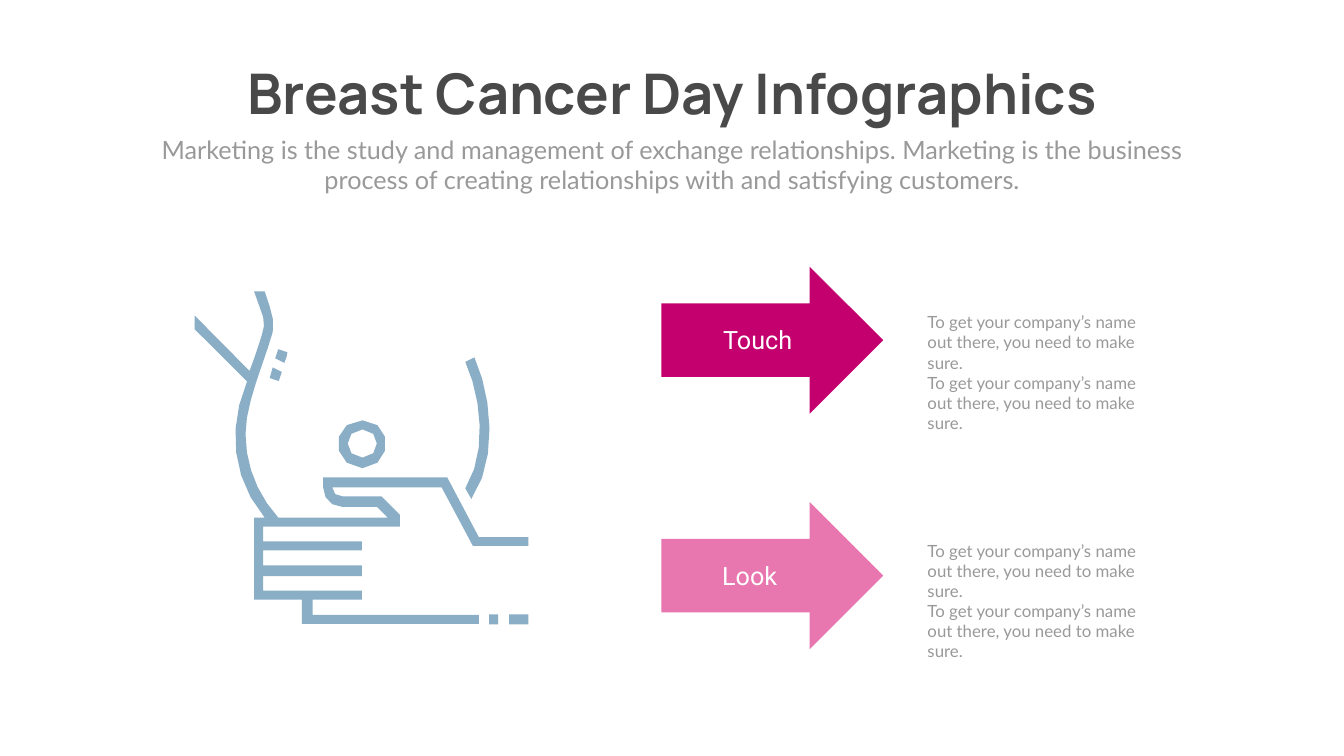
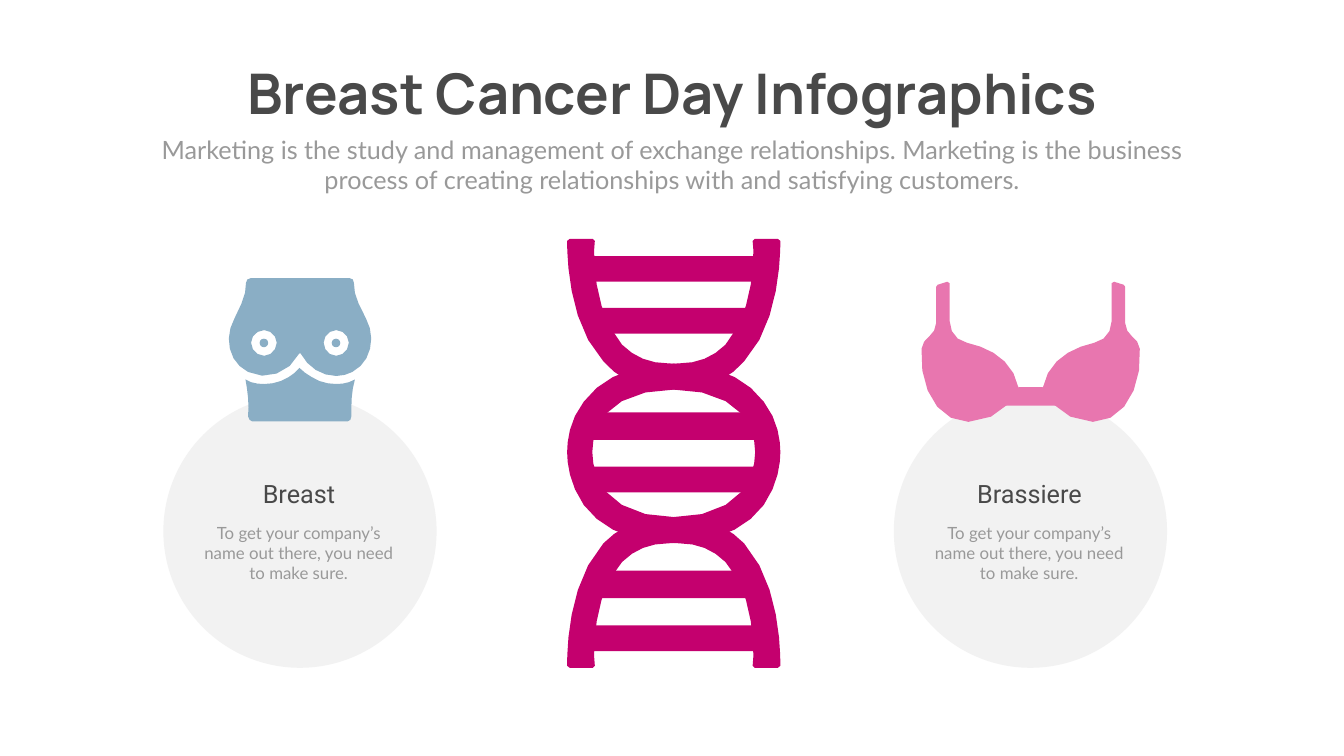
from dataclasses import dataclass
from math import ceil, dist, sqrt

from pptx import Presentation
from pptx.dml.color import RGBColor as RGB
from pptx.enum.shapes import MSO_SHAPE as Form
from pptx.enum.text import MSO_AUTO_SIZE as Fit, PP_ALIGN as Align
from pptx.util import Pt

PX = 9144  # EMU in one px: 100 px to the inch


@dataclass(frozen=True)
class Theme:
    ink: str = "494949"
    gray: str = "999999"
    pale: str = "F2F2F2"
    white: str = "FFFFFF"
    rose: str = "C4006E"
    pink: str = "E876AF"
    blue: str = "8AAEC5"
    title: tuple = ("Manrope", 80)
    lead: tuple = ("Lato", 36)
    label: tuple = ("Roboto", 36)
    note: tuple = ("Lato", 24)


T = Theme()
TITLE = "Breast Cancer Day Infographics"
LEAD = ("Marketing is the study and management of exchange relationships. "
        "Marketing is the business process of creating relationships with "
        "and satisfying customers.")
NOTE = "To get your company’s name out there, you need to make sure."


# Outlines: M starts a loop, L adds lines, C adds cubic curves
def curve(a, b, c, d):
    """Split a curve into straight pieces, more of them when it is long."""
    steps = max(1, ceil(sqrt(dist(a, b) + dist(b, c) + dist(c, d)) / 3))
    for i in range(1, steps + 1):
        t = i / steps
        u = 1 - t
        yield tuple(u**3 * p + 3 * u * u * t * q + 3 * u * t * t * r + t**3 * s
                    for p, q, r, s in zip(a, b, c, d))


def trace(text):
    loops, mode, wait = [], "M", []
    words = iter(text.split())
    for word in words:
        if word in "MLC":
            mode = word
            continue
        spot = (int(word), int(next(words)))
        if mode == "M":
            loops.append([spot])
        elif mode == "L":
            loops[-1].append(spot)
        else:
            wait.append(spot)
            if len(wait) == 3:
                loops[-1].extend(curve(loops[-1][-1], *wait))
                wait = []
    return loops


def flip(loops, span):
    """Mirror loops left to right; span is the sum of the two edges."""
    return [[(span - x, y) for x, y in loop] for loop in loops]


class Deck:
    def __init__(self, theme, wide, high):
        self.theme = theme
        self.show = Presentation()
        self.show.slide_width, self.show.slide_height = wide * PX, high * PX
        self.shapes = None

    def page(self):
        """Add a slide with the shared heading."""
        slide = self.show.slides.add_slide(self.show.slide_layouts[6])
        slide.background.fill.solid()
        slide.background.fill.fore_color.rgb = RGB.from_string(self.theme.white)
        self.shapes = slide.shapes
        head = slide.shapes.add_group_shape().shapes
        self.text((406, 112, 1855, 145), [TITLE], self.theme.title, self.theme.ink,
                  bold=True, wrap=False, into=head)
        self.text((292, 261, 2082, 131), [LEAD], self.theme.lead, self.theme.gray,
                  into=head)

    def text(self, box, lines, style, color, align=Align.CENTER, bold=False,
             wrap=True, into=None):
        frame = (into or self.shapes).add_textbox(*(n * PX for n in box)).text_frame
        frame.word_wrap = wrap
        frame.auto_size = Fit.SHAPE_TO_FIT_TEXT
        frame.text = "\n".join(lines)
        for para in frame.paragraphs:
            para.alignment = align
            para.font.name, para.font.size = style[0], Pt(style[1])
            para.font.bold = bold
            para.font.color.rgb = RGB.from_string(color)

    def paint(self, shape, fill):
        shape.shadow.inherit = False
        shape.fill.solid()
        shape.fill.fore_color.rgb = RGB.from_string(fill)
        shape.line.fill.background()

    def shape(self, form, box, fill, into=None):
        item = (into or self.shapes).add_shape(form, *(n * PX for n in box))
        self.paint(item, fill)

    def icon(self, fill, *parts, bars=(), dots=()):
        """Group of outlines, with plain bars and dots."""
        group = self.shapes.add_group_shape().shapes
        for box in bars:
            self.shape(Form.RECTANGLE, box, fill, group)
        for loops in parts:
            pen = None
            for loop in loops:
                first, *rest = [(x * PX, y * PX) for x, y in loop]
                if pen:
                    pen.move_to(*first)
                else:
                    pen = group.build_freeform(*first)
                pen.add_line_segments(rest, close=True)
            self.paint(pen.convert_to_shape(), fill)
        for box in dots:
            self.shape(Form.OVAL, box, fill, group)


# Hand check icon
MARKS = [trace("M 535 750 L 541 729 559 738 553 756"),
         trace("M 564 720 L 546 711 C 549 705 549 699 552 693 "
               "L 570 699 C 570 705 568 711 564 720")]
SIDE = trace("M 935 990 C 988 913 976 786 941 709 L 923 718 "
             "C 955 789 967 898 923 969")
RING = trace("M 719 929 C 781 926 781 834 719 834 654 834 654 926 719 929 "
             "M 719 852 C 757 852 757 908 719 908 680 908 680 852 719 852")
HAND = trace("""
    M 950 1066 L 887 947 641 947 641 967 C 641 988 656 1006 680 1006
    L 748 1006 769 1027 552 1027 C 511 982 487 923 487 861
    487 810 513 745 531 691 552 641 540 626 525 578
    L 504 578 522 629 C 528 647 519 664 513 685 507 703 502 718 495 736
    L 386 626 386 653 490 757 C 451 849 460 950 525 1027
    L 504 1027 504 1190 599 1190 599 1238 950 1238 950 1220 620 1220 620 1190
    718 1190 718 1172 522 1172 522 1143 718 1143 718 1122 522 1122
    522 1092 718 1092 718 1074 522 1074 522 1045 793 1045 793 1021
    757 985 680 985 C 668 985 659 979 659 967
    L 876 967 938 1083 1048 1083 1048 1066""")
DASHES = [(1010, 1219, 38, 20), (970, 1219, 18, 20)]

# DNA icon: rungs are centred, one strand mirrors the other
STRAND = trace("""
    M 1515 797 C 1477 746 1414 721 1326 721 1289 721 1259 709 1234 684
    1176 620 1176 499 1180 478 L 1176 474 1130 474 1125 478
    C 1125 499 1125 641 1197 717
    1230 755 1272 772 1326 772 1481 772 1498 859 1498 897
    1498 935 1481 1027 1326 1027 1272 1027 1230 1044 1197 1078
    1125 1157 1125 1296 1125 1321 L 1130 1325 1176 1325 1180 1321
    C 1176 1300 1176 1174 1234 1115 1259 1090 1289 1078 1326 1078
    1414 1078 1477 1053 1515 1002 1544 960 1548 918 1548 897
    1548 876 1544 834 1515 797""")
RUNGS = [(1337 - wide // 2, top, wide, high) for top, wide, high in (
    (508, 357, 51), (611, 306, 51), (818, 331, 55),
    (926, 331, 51), (1132, 306, 55), (1241, 357, 51))]

# Brassiere icon
BAND = trace("M 2021 768 L 2068 768 2102 805 1990 805")
CUP = trace("""
    M 2021 771 C 2021 771 1990 837 1921 837 1857 837 1823 765 1828 692
    1830 681 1835 673 1843 668 1851 661 1857 652 1857 641
    L 1857 569 1860 565 1879 559 1884 562 1884 638
    C 1884 658 1897 676 1918 680 1963 690 2010 714 2021 771""")

# Breast icon
WAIST = trace("""
    M 667 762 C 650 762 633 758 618 748 609 743 601 737 594 730
    589 737 581 743 573 748 557 758 541 762 524 762 510 762 498 760 487 753
    490 770 493 789 493 809 L 492 826 495 833 500 836 690 836 695 833 697 826
    697 809 C 697 789 699 770 704 753 692 760 680 762 667 762""")
CHEST = trace("""
    M 726 632 C 707 596 702 583 702 561 702 556 699 552 694 552
    L 497 552 C 492 552 488 556 488 561 488 583 483 596 465 632
    455 650 451 672 456 692 461 713 473 728 492 738 527 756 574 741 594 701
    L 596 701 C 611 729 638 746 667 746 679 746 689 743 699 738
    717 728 729 713 734 692 739 672 736 650 726 632
    M 524 706 C 510 706 498 694 498 680 498 667 510 655 524 655
    537 655 549 667 549 680 549 694 537 706 524 706
    M 667 706 C 653 706 642 694 642 680 642 667 653 655 667 655
    680 655 692 667 692 680 692 694 680 706 667 706""")
SPOTS = [(left, 672, 17, 17) for left in (515, 658)]


def touch(deck):
    deck.page()
    deck.icon(T.blue, *MARKS, SIDE, RING, HAND, bars=DASHES)
    for top, fill, word, left, drop, high in (
            (529, T.rose, "Touch", 1340, 614, 212),
            (996, T.pink, "Look", 1324, 1067, 172)):
        deck.shape(Form.RIGHT_ARROW, (1312, top, 440, 292), fill)
        deck.text((left, top + 110, 326, 71), [word], T.label, T.white)
        deck.text((1830, drop, 484, high), [NOTE, NOTE], T.note, T.gray, Align.LEFT)


def genes(deck):
    deck.page()
    deck.icon(T.rose, STRAND, flip(STRAND, 2673), bars=RUNGS)
    for left, word in ((324, "Breast"), (1773, "Brassiere")):
        deck.shape(Form.OVAL, (left, 783, 542, 542), T.pale)
        deck.text((left + 68, 1032, 401, 131), [NOTE], T.note, T.gray)
        deck.text((left + 106, 945, 326, 71), [word], T.label, T.ink)
    deck.icon(T.pink, BAND, CUP, flip(CUP, 4089))
    deck.icon(T.blue, WAIST, CHEST, dots=SPOTS)


def main():
    deck = Deck(T, 2666, 1500)
    touch(deck)
    genes(deck)
    deck.show.save("out.pptx")


if __name__ == "__main__":
    main()
